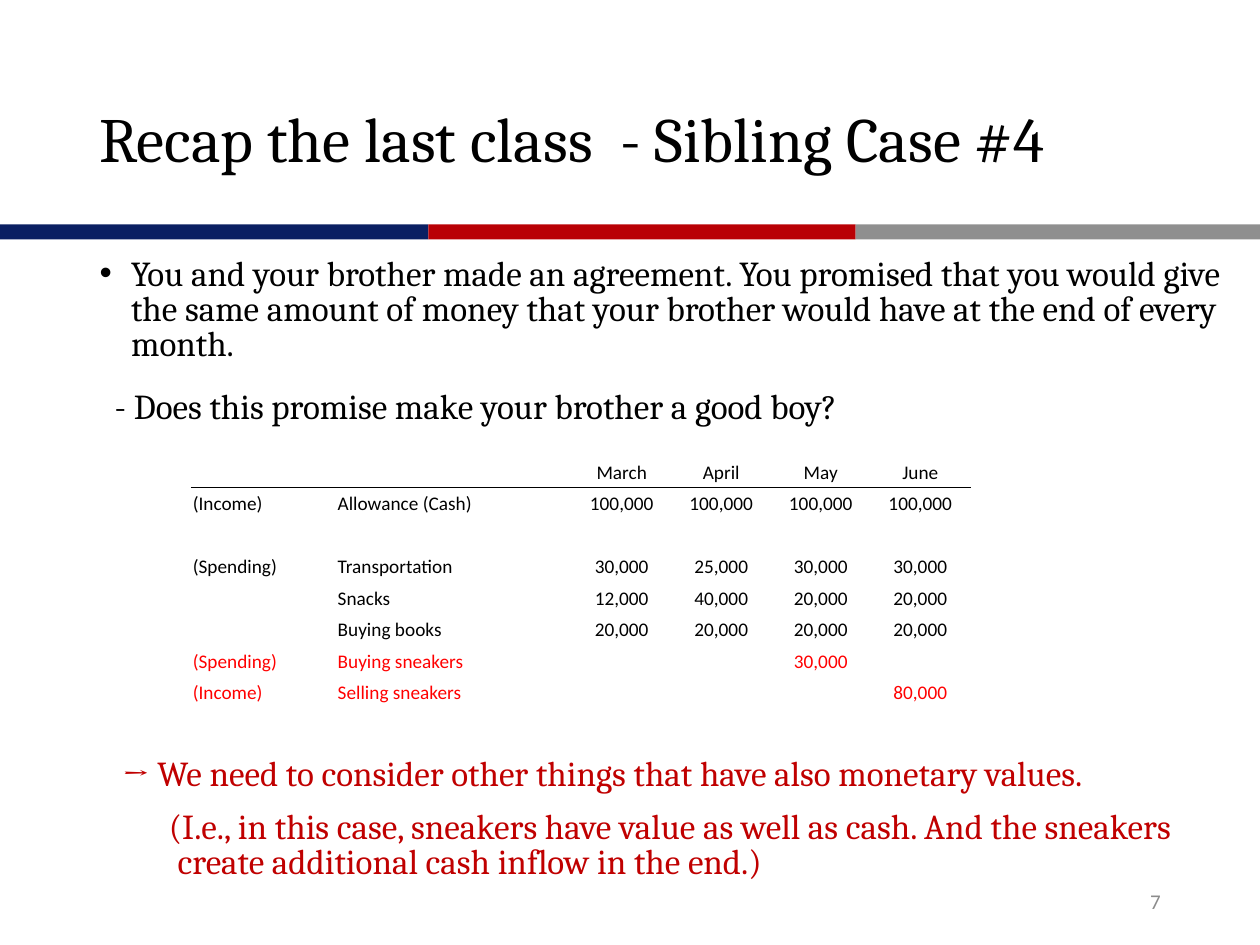
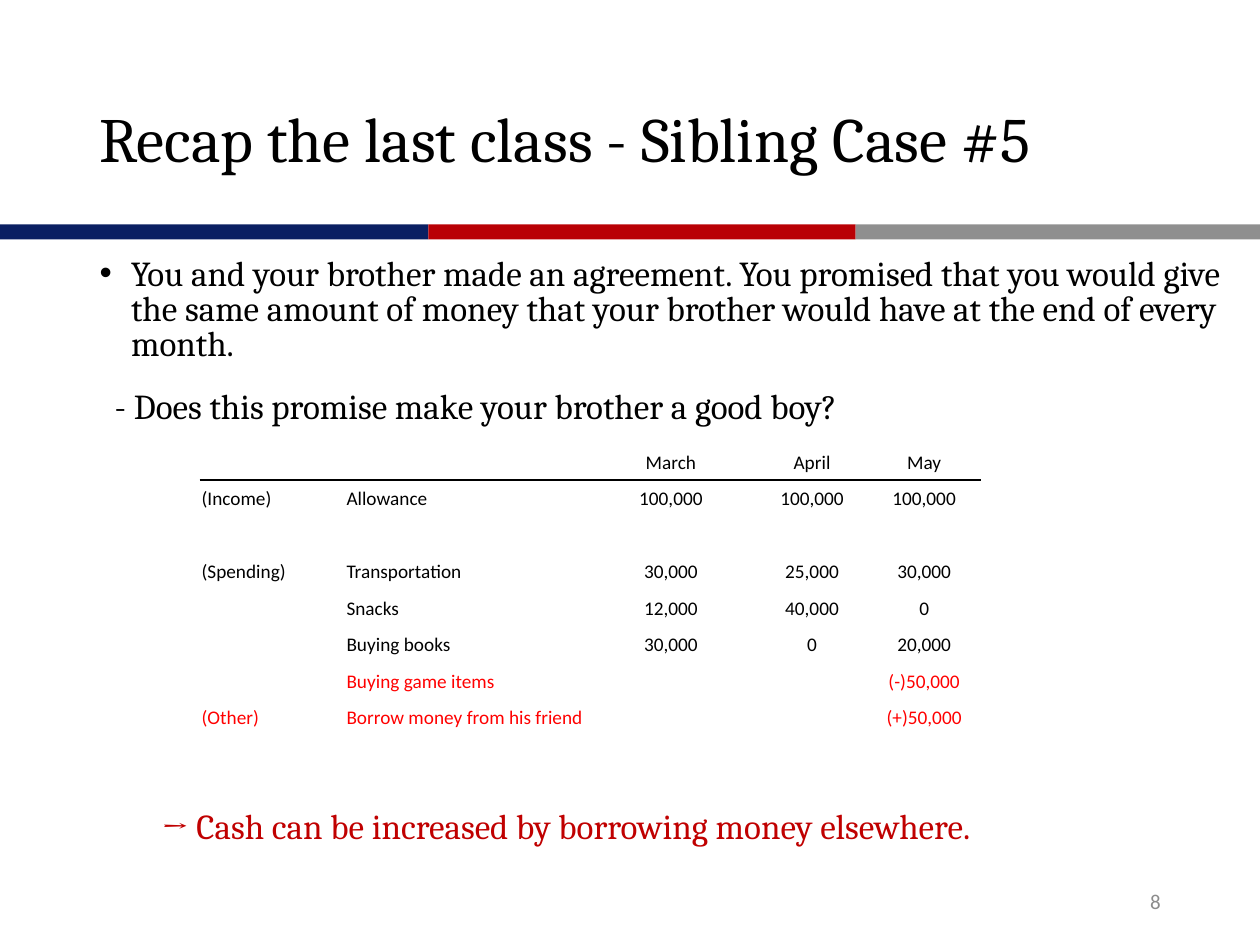
import pptx
import pptx.util
import pptx.dml.color
import pptx.enum.shapes
import pptx.enum.text
import pptx.oxml.ns
from lxml import etree

Inches, Pt = pptx.util.Inches, pptx.util.Pt
RGBColor = pptx.dml.color.RGBColor
PP_ALIGN = pptx.enum.text.PP_ALIGN
MIDDLE = pptx.enum.text.MSO_ANCHOR.MIDDLE
qn = pptx.oxml.ns.qn

# Shared look
NAVY = RGBColor(0x0A, 0x1F, 0x62)
CRIMSON = RGBColor(0xB9, 0x00, 0x05)
GRAY = RGBColor(0x8F, 0x8F, 0x8F)
NUMBER_GRAY = RGBColor(0x8C, 0x8C, 0x8C)
BLACK = RGBColor(0x00, 0x00, 0x00)
WHITE = RGBColor(0xFF, 0xFF, 0xFF)
RED = RGBColor(0xFF, 0x00, 0x00)
ANSWER_RED = RGBColor(0xC0, 0x00, 0x00)
HEADING_FONT, TABLE_FONT = "Cambria", "Calibri"
BANDS = [(0, 3.4, NAVY), (3.4, 3.39, CRIMSON), (6.79, 3.21, GRAY)]

AGREEMENT = ("You and your brother made an agreement. You promised that you would give "
             "the same amount of money that your brother would have at the end of every month.")
QUESTION = "- Does this promise make your brother a good boy?"

# Each answer: text, left margin, first-line indent, space before
cases = [
    {
        "number": "7",
        "title": "Recap the last class  - Sibling Case #4",
        "answers": [
            ("→ We need to consider other things that have also monetary values.", 0.18, 0, 190),
            ("(I.e., in this case, sneakers have value as well as cash. "
             "And the sneakers create additional cash inflow in the end.)", 0.62, -0.07, 10),
        ],
        "budget_at": (1.52, 3.62),
        "columns": [1.15, 1.87, 0.79, 0.79, 0.79, 0.79],
        "row_height": 0.25,
        "budget": [
            ["", "", "March", "April", "May", "June"],
            ["(Income)", "Allowance (Cash)", "100,000", "100,000", "100,000", "100,000"],
            [""] * 6,
            ["(Spending)", "Transportation", "30,000", "25,000", "30,000", "30,000"],
            ["", "Snacks", "12,000", "40,000", "20,000", "20,000"],
            ["", "Buying books", "20,000", "20,000", "20,000", "20,000"],
            ["(Spending)", "Buying sneakers", "", "", "30,000", ""],
            ["(Income)", "Selling sneakers", "", "", "", "80,000"],
        ],
        "merged": None,
    },
    {
        "number": "8",
        "title": "Recap the last class - Sibling Case #5",
        "answers": [("→ Cash can be increased by borrowing money elsewhere.", 0.49, 0, 220)],
        "budget_at": (1.59, 3.52),
        "columns": [1.15, 1.91, 1.35, 0.89, 0.89],
        "row_height": 0.29,
        "budget": [
            ["", "", "March", "April", "May"],
            ["(Income)", "Allowance", "100,000", "100,000", "100,000"],
            [""] * 5,
            ["(Spending)", "Transportation", "30,000", "25,000", "30,000"],
            ["", "Snacks", "12,000", "40,000", "0"],
            ["", "Buying books", "30,000", "0", "20,000"],
            ["", "Buying game items", "", "", "(-)50,000"],
            ["(Other)", "Borrow money from his friend", "", "", "(+)50,000"],
        ],
        "merged": (7, 1, 2),
    },
]


def add_run(paragraph, text, font, size, color):
    run = paragraph.add_run()
    run.text = text
    run.font.name, run.font.size = font, Pt(size)
    run.font.color.rgb = color


def add_border(cell, side, color):
    line = etree.SubElement(cell._tc.get_or_add_tcPr(), qn("a:ln" + side), w=str(Pt(1)))
    fill = etree.SubElement(line, qn("a:solidFill"))
    etree.SubElement(fill, qn("a:srgbClr"), val=str(color))


deck = pptx.Presentation()
deck.slide_width, deck.slide_height = Inches(10), Inches(7.5)

for case in cases:
    slide = deck.slides.add_slide(deck.slide_layouts[1])

    # Tricolour band
    for left, width, color in BANDS:
        band = slide.shapes.add_shape(pptx.enum.shapes.MSO_SHAPE.RECTANGLE, Inches(left),
                                      Inches(1.78), Inches(width), Inches(0.12))
        band.shadow.inherit = False
        band.fill.solid()
        band.fill.fore_color.rgb = color
        band.line.fill.background()

    # Title
    title = slide.shapes.title
    title.left, title.top, title.width, title.height = map(Inches, (0.69, 0.4, 8.87, 1.45))
    title.text_frame.vertical_anchor = MIDDLE
    heading = title.text_frame.paragraphs[0]
    heading.alignment, heading.line_spacing = PP_ALIGN.LEFT, 0.9
    add_run(heading, case["title"], HEADING_FONT, 36, BLACK)

    # Agreement, question and answers
    body = slide.placeholders[1]
    body.left, body.top, body.width, body.height = map(Inches, (0.69, 2, 9.2, 4.76))
    points = [(AGREEMENT, 0.25, -0.25, 0), (QUESTION, 0.12, 0, 16)] + case["answers"]
    for index, (text, margin, indent, before) in enumerate(points):
        point = body.text_frame.paragraphs[0] if index == 0 else body.text_frame.add_paragraph()
        properties = point._p.get_or_add_pPr()
        properties.set("marL", str(Inches(margin)))
        properties.set("indent", str(Inches(indent)))
        if index == 0:
            etree.SubElement(properties, qn("a:buChar"), char="•")
        else:
            etree.SubElement(properties, qn("a:buNone"))
        point.line_spacing, point.space_before, point.space_after = Pt(20), Pt(before), Pt(0)
        add_run(point, text, HEADING_FONT, 20, BLACK if index < 2 else ANSWER_RED)

    # Slide number
    number_box = slide.shapes.add_textbox(Inches(7.06), Inches(6.95), Inches(2.25), Inches(0.4))
    number_box.text_frame.word_wrap = True
    number_box.text_frame.vertical_anchor = MIDDLE
    number = number_box.text_frame.paragraphs[0]
    number.alignment = PP_ALIGN.RIGHT
    add_run(number, case["number"], TABLE_FONT, 12, NUMBER_GRAY)

    # Budget table
    rows, columns = case["budget"], case["columns"]
    left, top = case["budget_at"]
    budget = slide.shapes.add_table(len(rows), len(columns), Inches(left), Inches(top),
                                    Inches(sum(columns)),
                                    Inches(case["row_height"] * len(rows))).table
    budget.first_row = budget.horz_banding = False
    for column, width in zip(budget.columns, columns):
        column.width = Inches(width)
    for r, row in enumerate(rows):
        budget.rows[r].height = Inches(case["row_height"])
        for c, text in enumerate(row):
            cell = budget.cell(r, c)
            cell.vertical_anchor = MIDDLE
            cell.margin_left = cell.margin_right = cell.margin_top = Inches(0.01)
            cell.margin_bottom = 0
            for side in "LRTB":
                under_header = (r, side) in [(0, "B"), (1, "T")]
                add_border(cell, side, BLACK if under_header else WHITE)
            cell.fill.background()
            entry = cell.text_frame.paragraphs[0]
            entry.alignment = PP_ALIGN.LEFT if c < 2 else PP_ALIGN.CENTER
            if text:
                add_run(entry, text, TABLE_FONT, 11, RED if r >= 6 else BLACK)
            else:
                etree.SubElement(entry._p, qn("a:endParaRPr"), sz="1100")
    if case["merged"]:
        r, first, last = case["merged"]
        budget.cell(r, first).merge(budget.cell(r, last))

deck.save("out.pptx")
